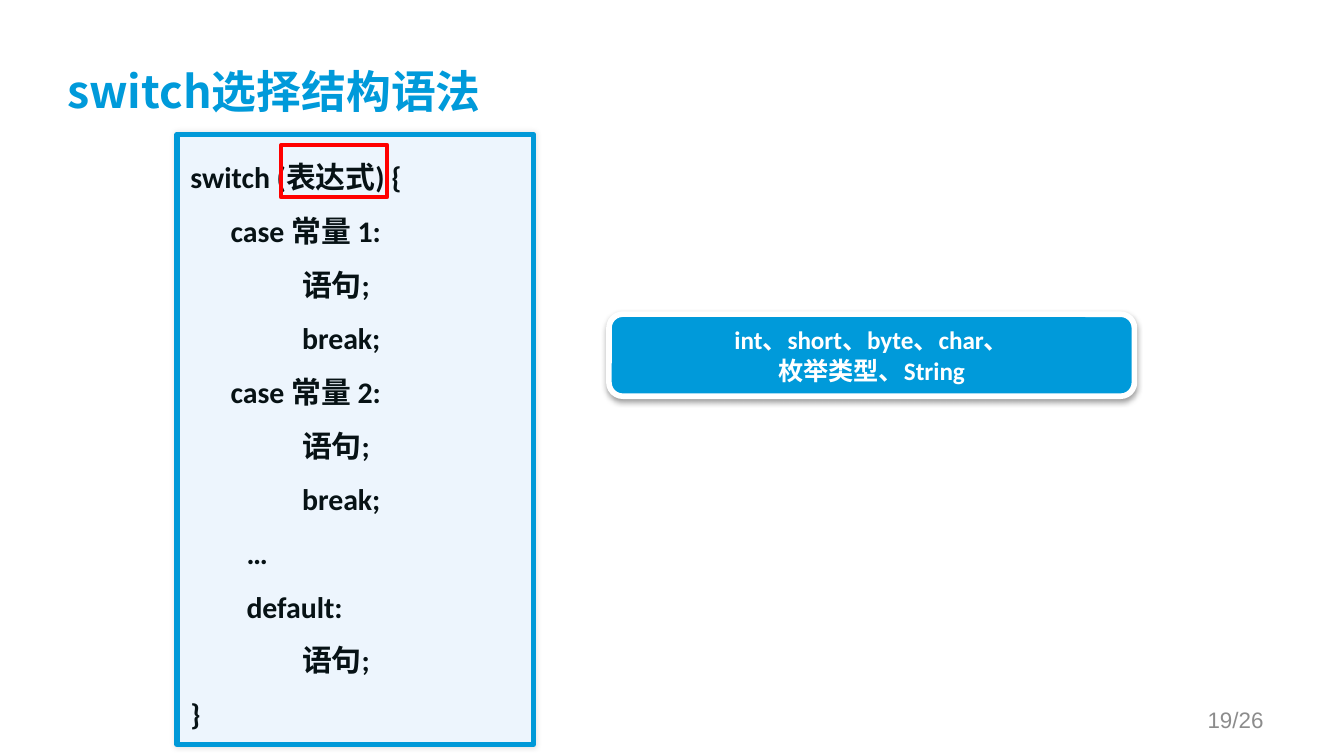
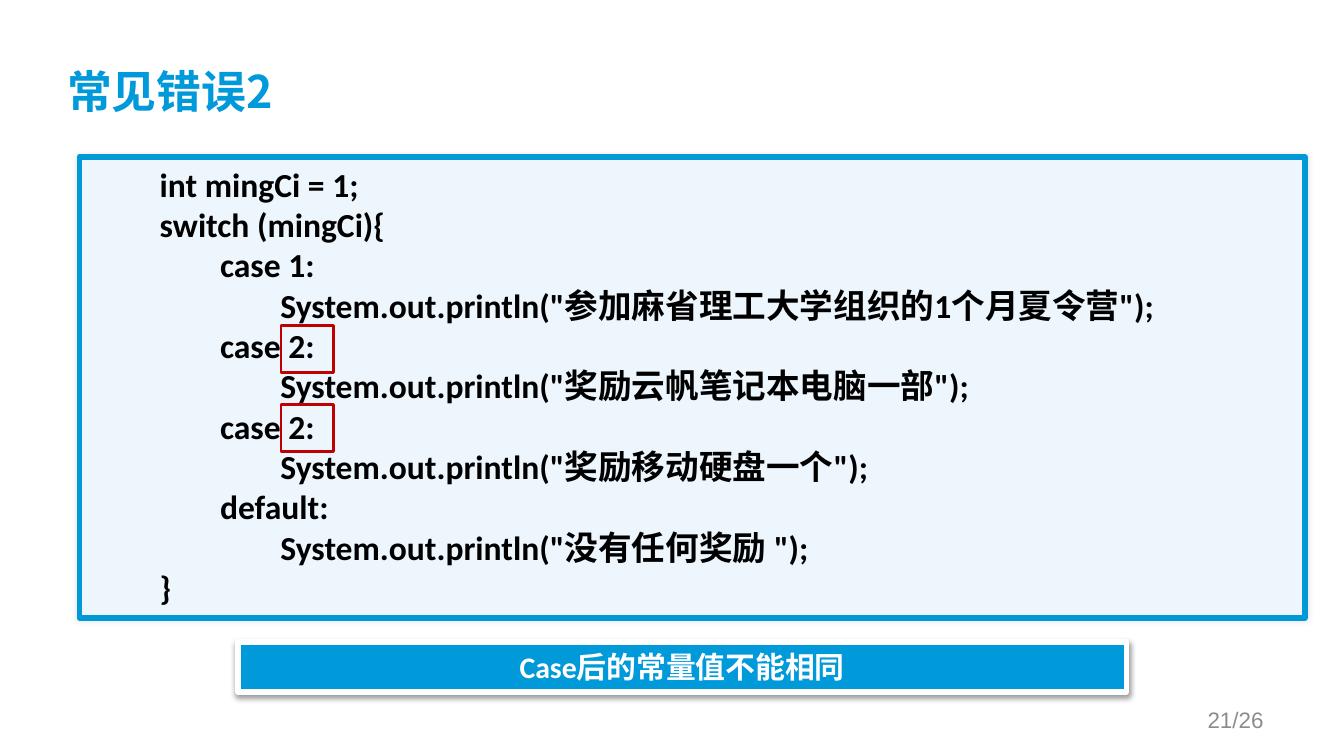
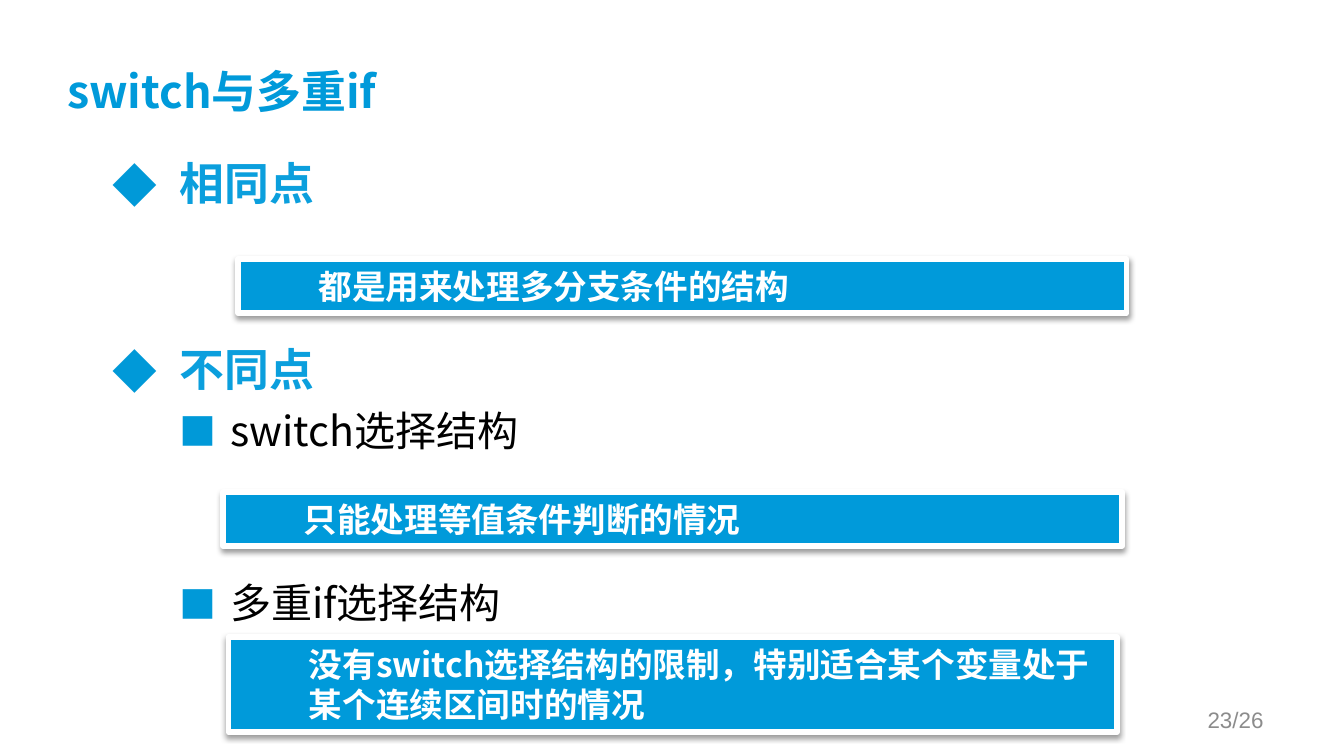
from lxml import etree
from pptx import Presentation
from pptx import util as u
from pptx.dml.color import RGBColor
from pptx.enum import shapes, text
from pptx.oxml import ns

COLORS = {
    "blue": "009ADA", "border": "0099D8", "heading": "0B9FDD", "pale": "EDF5FD",
    "ink": "071215", "black": "000000", "white": "FFFFFF", "gray": "8C8C8C",
    "red": "FF0000", "dark_red": "C00000",
}
CODE_FONT, TEXT_FONT, NUMBER_FONT = "Calibri", "Noto Sans CJK SC", "Arial"
PAGE_TOTAL = 26
LEFT, CENTER, RIGHT = text.PP_ALIGN.LEFT, text.PP_ALIGN.CENTER, text.PP_ALIGN.RIGHT
TOP, MIDDLE = text.MSO_ANCHOR.TOP, text.MSO_ANCHOR.MIDDLE

# Boxes are left, top, width, height in centimetres.
TITLE_BOX = (1.27, 0.58, 22.86, 2.39)
NUMBER_BOX = (18.21, 13.23, 5.92, 0.76)

# Code lines are (indent in centimetres, text).
CASE, LABEL, BODY = 0.76, 1.06, 2.11
SYNTAX = [
    (0, "switch (表达式) {"),
    (CASE, "case 常量 1:"), (BODY, "语句;"), (BODY, "break;"),
    (CASE, "case 常量 2:"), (BODY, "语句;"), (BODY, "break;"),
    (LABEL, "…"), (LABEL, "default:"), (BODY, "语句;"),
    (0, "}"),
]
BASE, STEP = 1.27, 1.14
MISTAKE = [(BASE + STEP * level, line) for level, line in [
    (0, "int mingCi = 1;"),
    (0, "switch (mingCi){"),
    (1, "case 1:"),
    (2, 'System.out.println("参加麻省理工大学组织的1个月夏令营");'),
    (1, "case 2:"),
    (2, 'System.out.println("奖励云帆笔记本电脑一部");'),
    (1, "case 2:"),
    (2, 'System.out.println("奖励移动硬盘一个");'),
    (1, "default:"),
    (2, 'System.out.println("没有任何奖励 ");'),
    (0, "}"),
]]

# Outline items are (level, text, points of space before).
OUTLINE_BOX = (1.88, 2.82, 21.56, 9.42)
OUTLINE = [(0, "相同点", 0), (0, "不同点", 71),
           (1, "switch选择结构", 5), (1, "多重if选择结构", 66)]
LEVELS = [
    {"size": 24, "color": "heading", "bold": True, "left": 1.27, "hang": 1.27,
     "bullet": "◆", "bullet_size": 100},
    {"size": 22, "color": "black", "bold": False, "left": 2.22, "hang": 0.95,
     "bullet": "■", "bullet_size": 90},
]
ANSWERS = [
    ((4.5, 4.9, 16.79, 1.02), "都是用来处理多分支条件的结构"),
    ((4.22, 9.3, 16.99, 1.02), "只能处理等值条件判断的情况"),
    ((4.32, 12.04, 16.79, 1.8), "没有switch选择结构的限制，特别适合某个变量处于某个连续区间时的情况"),
]


def rgb(name):
    return RGBColor.from_string(COLORS[name])


def add_child(parent, tag, **attributes):
    child = etree.SubElement(parent, ns.qn(tag))
    for key, value in attributes.items():
        child.set(key, str(value))
    return child


def style(paragraph, font, size, color, bold=True, align=LEFT, left=0, first=0):
    """Format a paragraph and its runs; left and first are indents in cm."""
    paragraph.alignment = align
    properties = paragraph._p.get_or_add_pPr()
    properties.set("marL", str(int(u.Cm(left))))
    properties.set("indent", str(int(u.Cm(first))))
    if font == TEXT_FONT:
        paragraph.line_spacing = u.Pt(size * 1.2)
    for run in paragraph.runs:
        run.font.name, run.font.size, run.font.bold = font, u.Pt(size), bold
        run.font.color.rgb = rgb(color)


def prepare_frame(shape, lines, anchor=TOP):
    frame = shape.text_frame
    frame.text = "\n".join(lines)
    frame.word_wrap = True
    frame.vertical_anchor = anchor
    return frame


def add_text(slide, box, lines, anchor=TOP):
    return prepare_frame(slide.shapes.add_textbox(*map(u.Cm, box)), lines, anchor)


def add_box(slide, box, line, width, fill=None, corner=None):
    kind = shapes.MSO_SHAPE.RECTANGLE if corner is None else shapes.MSO_SHAPE.ROUNDED_RECTANGLE
    shape = slide.shapes.add_shape(kind, *map(u.Cm, box))
    if corner is not None:
        shape.adjustments[0] = corner
    if fill:
        shape.fill.solid()
        shape.fill.fore_color.rgb = rgb(fill)
    else:
        shape.fill.background()
    shape.line.color.rgb = rgb(line)
    shape.line.width = u.Pt(width)
    shape.shadow.inherit = False
    return shape


def add_shadow(shape, opacity, blur, distance):
    effects = shape._element.spPr.find(ns.qn("a:effectLst"))
    shadow = add_child(effects, "a:outerShdw", blurRad=int(u.Pt(blur)),
                       dist=int(u.Pt(distance)), dir=5400000, rotWithShape=0)
    color = add_child(shadow, "a:srgbClr", val=COLORS["black"])
    add_child(color, "a:alpha", val=opacity * 1000)


def add_code(slide, box, lines, size, color, spacing=1.0):
    panel = add_box(slide, box, "border", 3, "pale", corner=0)
    add_shadow(panel, 10, 3, 0)
    frame = prepare_frame(panel, [line for _, line in lines])
    for paragraph, (indent, _) in zip(frame.paragraphs, lines):
        style(paragraph, CODE_FONT, size, color, left=indent)
        paragraph.line_spacing = spacing


def add_callout(slide, box, lines, size, font=CODE_FONT, corner=0, **layout):
    callout = add_box(slide, box, "white", 3, "blue", corner)
    add_shadow(callout, 38, 3.1, 1.6)
    for paragraph in prepare_frame(callout, lines).paragraphs:
        style(paragraph, font, size, "white", **layout)


def add_outline(slide):
    frame = add_text(slide, OUTLINE_BOX, [line for _, line, _ in OUTLINE])
    for paragraph, (level, _, before) in zip(frame.paragraphs, OUTLINE):
        look = LEVELS[level]
        paragraph.level = level
        style(paragraph, TEXT_FONT, look["size"], look["color"], look["bold"],
              left=look["left"], first=-look["hang"])
        paragraph.space_before = u.Pt(before)
        properties = paragraph._p.get_or_add_pPr()
        add_child(add_child(properties, "a:buClr"), "a:srgbClr", val=COLORS["border"])
        add_child(properties, "a:buSzPct", val=look["bullet_size"] * 1000)
        add_child(properties, "a:buFont", typeface=TEXT_FONT)
        add_child(properties, "a:buChar", char=look["bullet"])


def add_slide(presentation, title, number):
    """Add a blank slide with its title and page number."""
    slide = presentation.slides.add_slide(presentation.slide_layouts[6])
    frame = add_text(slide, TITLE_BOX, [title], MIDDLE)
    frame.margin_left = frame.margin_top = 0
    style(frame.paragraphs[0], TEXT_FONT, 24, "blue")
    frame = add_text(slide, NUMBER_BOX, [f"{number}/{PAGE_TOTAL}"], MIDDLE)
    style(frame.paragraphs[0], NUMBER_FONT, 12, "gray", bold=False, align=RIGHT)
    return slide


def main():
    presentation = Presentation()
    presentation.slide_width, presentation.slide_height = u.Cm(25.4), u.Cm(14.29)
    centered = {"align": CENTER, "left": 0.64, "first": -0.64}

    slide = add_slide(presentation, "switch选择结构语法", 19)
    add_code(slide, (3.35, 2.54, 6.73, 11.53), SYNTAX, 16, "ink", spacing=1.5)
    add_callout(slide, (11.51, 5.94, 9.93, 1.55),
                ["int、short、byte、char、", "枚举类型、String"], 13.5, corner=0.167, **centered)
    add_box(slide, (5.31, 2.74, 2.01, 0.99), "red", 2)

    slide = add_slide(presentation, "常见错误2", 21)
    add_code(slide, (1.5, 2.97, 23.16, 8.71), MISTAKE, 18, "black")
    for top in (6.15, 7.65):
        add_box(slide, (5.31, top, 0.99, 0.89), "dark_red", 1.5)
    add_callout(slide, (4.5, 12.14, 16.79, 0.94), ["Case后的常量值不能相同"], 16, **centered)

    slide = add_slide(presentation, "switch与多重if", 23)
    add_outline(slide)
    for box, answer in ANSWERS:
        add_callout(slide, box, [answer], 18, TEXT_FONT, left=1.27)

    presentation.save("out.pptx")


if __name__ == "__main__":
    main()
